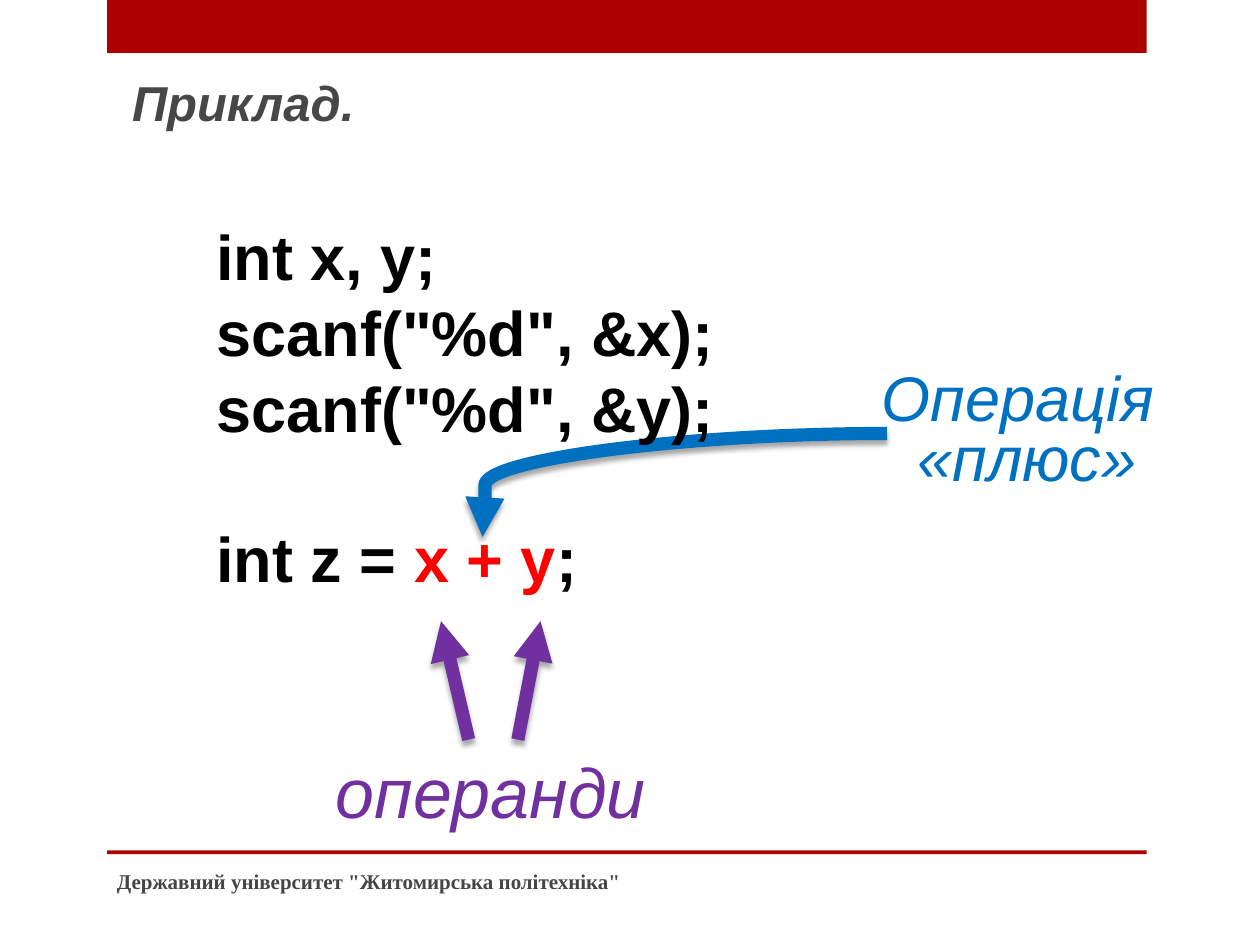
import pptx
import pptx.util
from lxml import etree
from pptx.dml.color import RGBColor
from pptx.enum.shapes import MSO_CONNECTOR, MSO_SHAPE
from pptx.enum.text import MSO_ANCHOR, PP_ALIGN
from pptx.oxml import parse_xml
from pptx.oxml.ns import nsdecls, qn
from pptx.util import Inches, Pt

DARK_RED = RGBColor(0xAD, 0x01, 0x01)
BLACK = RGBColor(0, 0, 0)
RED = RGBColor(0xFF, 0, 0)
BLUE = RGBColor(0x00, 0x70, 0xC0)
PURPLE = RGBColor(0x70, 0x30, 0xA0)
TITLE_GRAY = RGBColor(0x47, 0x47, 0x47)
FOOTER_GRAY = RGBColor(0x45, 0x45, 0x45)

SHADOW = (
    f'<a:effectLst {nsdecls("a")}>'
    '<a:outerShdw blurRad="38100" dist="38100" dir="5400000" rotWithShape="0">'
    '<a:srgbClr val="000000"><a:alpha val="35000"/></a:srgbClr>'
    '</a:outerShdw></a:effectLst>'
)


def set_font(font, size, color, name="Arial", bold=False, italic=False):
    font.name = name
    font.size = Pt(size)
    font.color.rgb = color
    font.bold = bold
    font.italic = italic


def add_text_frame(slide, box, wrap=False):
    tf = slide.shapes.add_textbox(*map(Inches, box)).text_frame
    tf.word_wrap = wrap
    return tf


def add_bar(slide, box):
    sp = slide.shapes.add_shape(MSO_SHAPE.RECTANGLE, *map(Inches, box))
    sp.shadow.inherit = False
    sp.fill.solid()
    sp.fill.fore_color.rgb = DARK_RED
    sp.line.fill.background()


def add_arrow(slide, kind, start, end, color):
    """Thick shadowed connector with a triangle head at its end."""
    cn = slide.shapes.add_connector(kind, *map(Inches, (*start, *end)))
    cn.line.width = Pt(7.5)
    cn.line.color.rgb = color
    etree.SubElement(cn.line._get_or_add_ln(), qn("a:tailEnd"), type="triangle")
    cn._element.spPr.append(parse_xml(SHADOW))
    return cn


def add_label(slide, box, lines, size, color):
    p = add_text_frame(slide, box).paragraphs[0]
    p.alignment = PP_ALIGN.CENTER
    p.line_spacing = 0.8
    for i, line in enumerate(lines):
        if i:
            p.add_line_break()
        p.add_run().text = line
    set_font(p.font, size, color, italic=True)


def add_title(slide, box):
    p = add_text_frame(slide, box, wrap=True).paragraphs[0]
    p.text = "Приклад."
    p.line_spacing = 0.9
    p._p.get_or_add_pPr().set("marL", str(Inches(0.05)))
    set_font(p.font, 28, TITLE_GRAY, bold=True, italic=True)


def add_code(slide, box):
    tf = add_text_frame(slide, box)
    lines = [
        [("int x, y;", BLACK)],
        [('scanf("%d", &x);', BLACK)],
        [('scanf("%d", &y);', BLACK)],
        [("int z = ", BLACK), ("x + y", RED), (";", BLACK)],
    ]
    for i, line in enumerate(lines):
        p = tf.add_paragraph() if i else tf.paragraphs[0]
        for text, color in line:
            r = p.add_run()
            r.text = text
            set_font(r.font, 36, color, bold=True)
    p.space_before = Pt(43)


def add_operation_callout(slide, box):
    left, top, _, _ = box
    cn = add_arrow(slide, MSO_CONNECTOR.CURVE, (left + 0.15, top + 0.53),
                   (left - 3.06, top + 1.35), BLUE)
    geom = cn._element.spPr.find(qn("a:prstGeom"))
    guides = geom.find(qn("a:avLst"))
    if guides is None:
        guides = etree.SubElement(geom, qn("a:avLst"))
    etree.SubElement(guides, qn("a:gd"), name="adj1", fmla="val 99400")
    add_label(slide, box, ["Операція ", "«плюс»"], 36, BLUE)


def add_operands_callout(slide, box):
    left, top, _, _ = box
    add_label(slide, box, ["операнди"], 40, PURPLE)
    for start_x, end_x in ((1.56, 1.74), (1.17, 0.95)):
        add_arrow(slide, MSO_CONNECTOR.STRAIGHT, (left + start_x, top - 0.15),
                  (left + end_x, top - 1.09), PURPLE)


def add_footer(slide, box):
    tf = add_text_frame(slide, box, wrap=True)
    tf.vertical_anchor = MSO_ANCHOR.MIDDLE
    p = tf.paragraphs[0]
    p.text = 'Державний університет "Житомирська політехніка"'
    set_font(p.font, 12, FOOTER_GRAY, name="Times New Roman", bold=True)


def main():
    prs = pptx.Presentation()
    prs.slide_width, prs.slide_height = Inches(10), Inches(7.5)
    slide = prs.slides.add_slide(prs.slide_layouts[6])
    add_bar(slide, (0.85, 0, 8.25, 0.42))
    add_bar(slide, (0.85, 6.75, 8.25, 0.03))
    add_operation_callout(slide, (6.89, 2.91, 2.52, 1.07))
    add_operands_callout(slide, (2.55, 6.02, 2.69, 0.64))
    # The code lies above the arrows so that they never cover its characters.
    add_code(slide, (1.62, 1.68, 4.19, 3.13))
    add_footer(slide, (0.83, 6.79, 5.33, 0.4))
    add_title(slide, (0.9, 0.58, 3.56, 0.79))
    prs.save("out.pptx")


if __name__ == "__main__":
    main()
